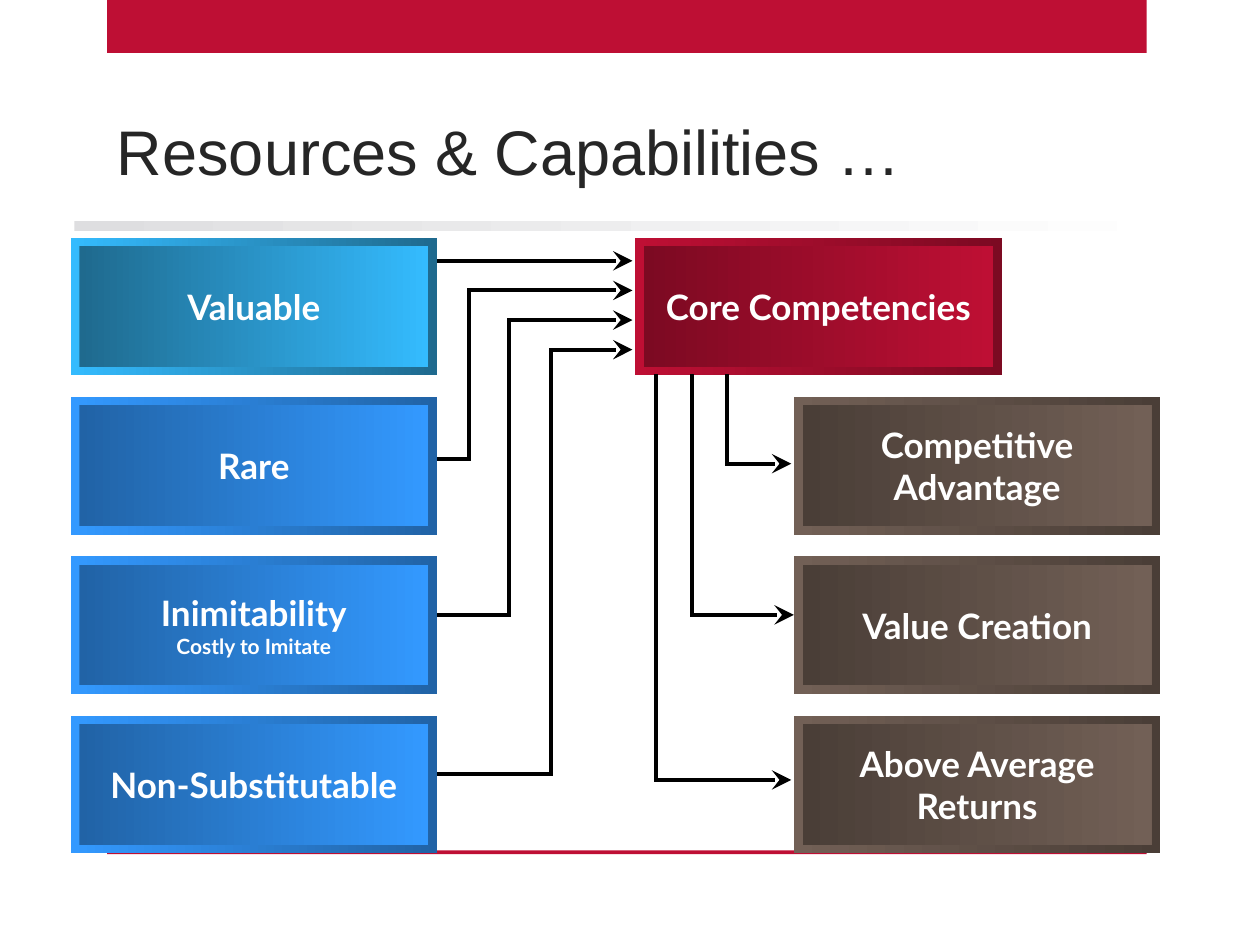
from lxml import etree
from pptx import Presentation
from pptx.dml.color import RGBColor
from pptx.enum.shapes import MSO_CONNECTOR, MSO_SHAPE
from pptx.enum.text import MSO_ANCHOR, PP_ALIGN
from pptx.oxml.ns import qn
from pptx.util import Inches, Pt

RECT = MSO_SHAPE.RECTANGLE
STRAIGHT = MSO_CONNECTOR.STRAIGHT
MIDDLE, BOTTOM = MSO_ANCHOR.MIDDLE, MSO_ANCHOR.BOTTOM
CENTER = PP_ALIGN.CENTER

COLORS = {
    "brand": "BE0F34", "brand_dark": "7C0A22",
    "sky": "34BBFE", "sky_dark": "1F6A8E",
    "blue": "3399FF", "blue_dark": "2163A6",
    "brown": "726056", "brown_dark": "4A3E37",
    "rule": "DEDEE0", "white": "FFFFFF", "black": "000000", "title": "262626",
}

# Grid of boxes, in inches
COLUMNS = {"resources": 0.56, "core": 5.04, "results": 6.3}
TOP, ROW_PITCH = 1.89, 1.263
BOX_W, BOX_H = 2.91, 1.09
BEVEL_X, BEVEL_Y = 0.07, 0.065


def rgb(name):
    return RGBColor.from_string(COLORS[name])


def add_bar(slide, left, top, width, height, start, end=None):
    """Borderless rectangle, solid or shaded from left to right."""
    bar = slide.shapes.add_shape(RECT, *map(Inches, (left, top, width, height)))
    bar.shadow.inherit = False
    bar.line.fill.background()
    if end is None:
        bar.fill.solid()
        bar.fill.fore_color.rgb = rgb(start)
    else:
        bar.fill.gradient()
        bar.fill.gradient_angle = 0
        for stop, name in zip(bar.fill.gradient_stops, (start, end)):
            stop.color.rgb = rgb(name)
            stop.position = float(name == end)
    return bar


def style(paragraph, font, size, color, bold=False):
    paragraph.font.name = font
    paragraph.font.size = Pt(size)
    paragraph.font.bold = bold
    paragraph.font.color.rgb = rgb(color)


def add_box(slide, column, row, color, label, note=None):
    """Bevelled box: an outer frame and a face shaded the other way."""
    left, top = COLUMNS[column], TOP + row * ROW_PITCH
    dark = color + "_dark"
    add_bar(slide, left, top, BOX_W, BOX_H, color, dark)
    face = add_bar(slide, left + BEVEL_X, top + BEVEL_Y,
                   BOX_W - 2 * BEVEL_X, BOX_H - 2 * BEVEL_Y, dark, color)
    frame = face.text_frame
    frame.word_wrap = True
    frame.vertical_anchor = MIDDLE
    frame.text = label if note is None else f"{label}\n{note}"
    for paragraph, size in zip(frame.paragraphs, (20, 12)):
        paragraph.alignment = CENTER
        style(paragraph, "Lato", size, "white", bold=True)


def add_route(slide, *points):
    """Straight segments through the points, with an arrowhead at the end."""
    for start, end in zip(points, points[1:]):
        segment = slide.shapes.add_connector(STRAIGHT, *map(Inches, start + end))
        segment.line.color.rgb = rgb("black")
        segment.line.width = Pt(2.25)
        line = segment.line._get_or_add_ln()
        line.set("cap", "sq")
        if end == points[-1]:
            etree.SubElement(line, qn("a:tailEnd"), type="stealth",
                             w="lg", len="lg")
        etree.SubElement(segment._element.spPr, qn("a:effectLst"))


def add_title(slide, text):
    title = slide.shapes.add_textbox(*map(Inches, (0.83, 0.52, 7.42, 1.02)))
    frame = title.text_frame
    frame.word_wrap = True
    frame.vertical_anchor = BOTTOM
    frame.text = text
    style(frame.paragraphs[0], "Arial", 36, "title")


def main():
    prs = Presentation()
    prs.slide_width, prs.slide_height = Inches(10), Inches(7.5)
    slide = prs.slides.add_slide(prs.slide_layouts[6])

    # Page bands and title
    add_bar(slide, 0.85, 0, 8.25, 0.42, "brand")
    add_bar(slide, 0.85, 6.75, 8.25, 0.03, "brand")
    add_title(slide, "Resources & Capabilities …")

    # Core competencies and their results
    add_box(slide, "core", 0, "brand", "Core Competencies")
    results = ("Competitive Advantage", "Value Creation", "Above Average Returns")
    for row, label in enumerate(results, start=1):
        add_box(slide, "results", row, "brown", label)

    # Arrows from resources to core competencies
    edge, core_edge = 3.43, 5.02
    add_route(slide, (edge, 2.07), (core_edge, 2.07))
    turns = ((3.72, 3.64), (4.04, 4.88), (4.37, 6.14))
    for lane, (turn, start) in enumerate(turns, start=1):
        entry = 2.07 + lane * 0.235
        add_route(slide, (edge, start), (turn, start), (turn, entry),
                  (core_edge, entry))

    # Resources
    add_box(slide, "resources", 0, "sky", "Valuable")
    resources = (("Rare", None), ("Inimitability", "Costly to Imitate"),
                 ("Non-Substitutable", None))
    for row, (label, note) in enumerate(resources, start=1):
        add_box(slide, "resources", row, "blue", label, note)

    # Arrows from core competencies to results
    for lane, (drop, tip) in enumerate(((6.19, 6.28), (4.88, 6.3), (3.68, 6.28))):
        x = 5.21 + lane * 0.28
        add_route(slide, (x, 2.98), (x, drop), (tip, drop))

    # Fading rule under the title
    add_bar(slide, 0.59, 1.75, 8.83, 0.08, "rule", "white")

    prs.save("out.pptx")


if __name__ == "__main__":
    main()
